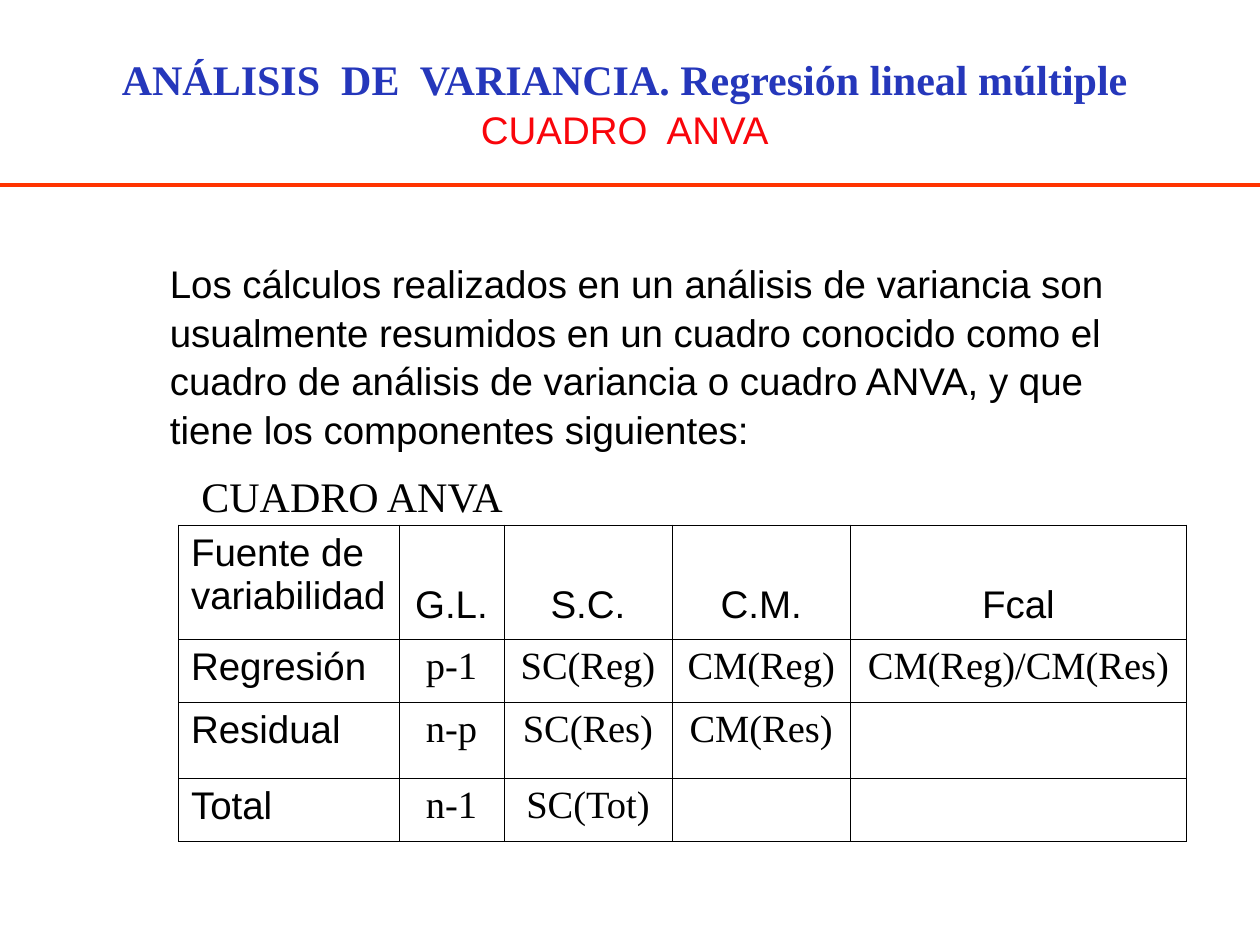
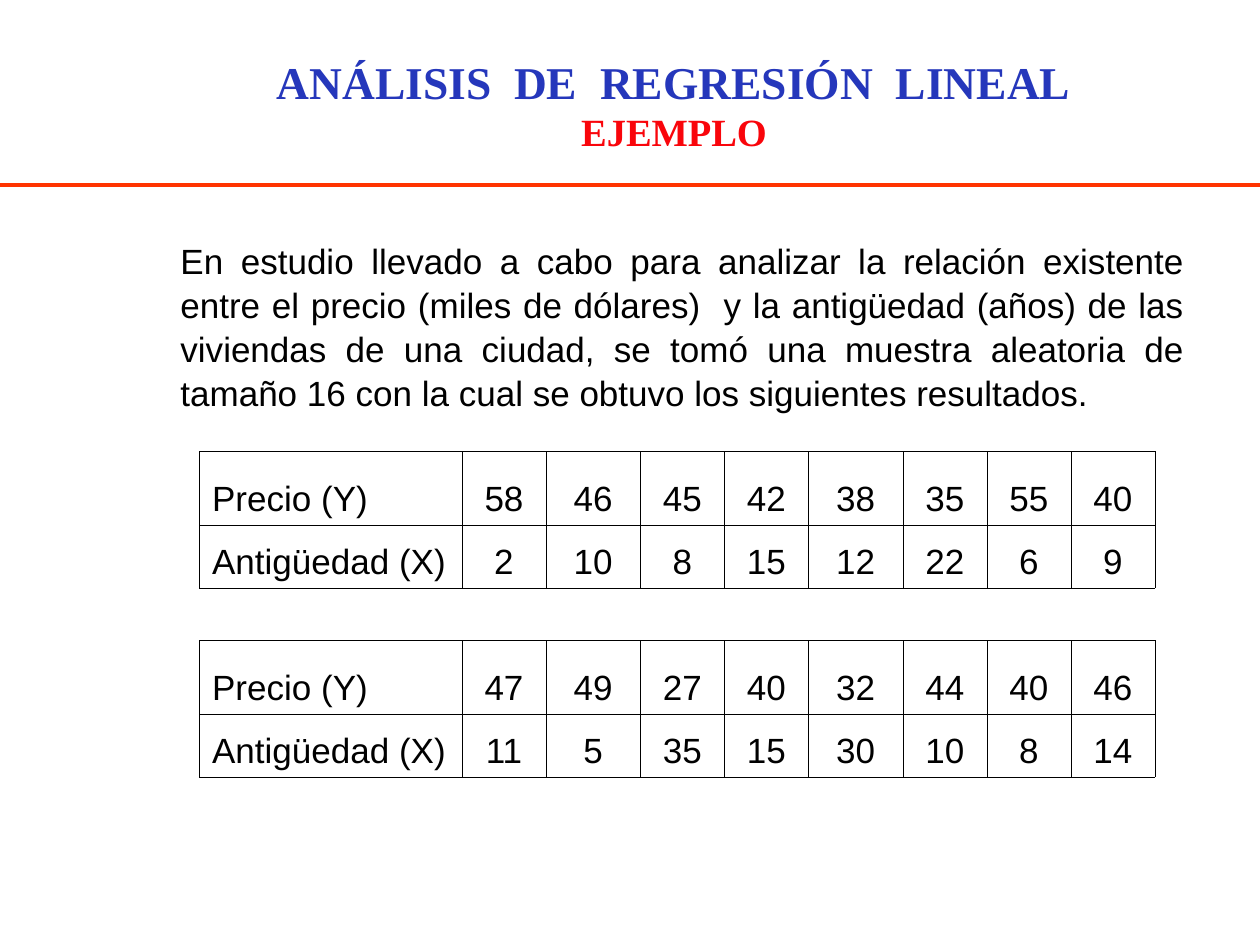
from dataclasses import dataclass

from lxml import etree
from pptx import Presentation
from pptx import util as u
from pptx.dml.color import RGBColor
from pptx.enum import shapes, text
from pptx.oxml import ns

# The grid: twelve columns and twelve rows to the inch
COLUMNS, ROWS = 120, 90
LEFT, CENTER, JUSTIFY = text.PP_ALIGN.LEFT, text.PP_ALIGN.CENTER, text.PP_ALIGN.JUSTIFY
TOP, MIDDLE, BOTTOM = text.MSO_ANCHOR.TOP, text.MSO_ANCHOR.MIDDLE, text.MSO_ANCHOR.BOTTOM


@dataclass(frozen=True)
class Theme:
    ink: str = "000000"
    title: str = "2537BB"
    subtitle: str = "F9050B"
    rule: str = "FF3300"
    sans: str = "Arial"
    serif: str = "Times New Roman"
    large: int = 24
    medium: int = 22
    small: int = 20
    rule_width: float = 2.25
    border_width: float = 0.45
    body_spacing: float = 1.05


class SlideBuilder:
    def __init__(self, deck, theme):
        self.deck, self.theme, self.page = deck, theme, None

    def x(self, columns):
        return round(self.deck.slide_width * columns / COLUMNS)

    def y(self, rows):
        return round(self.deck.slide_height * rows / ROWS)

    def area(self, left, top, width, height):
        return self.x(left), self.y(top), self.x(width), self.y(height)

    def style(self, font, name, size, color=None, bold=False):
        font.name, font.size, font.bold = name, u.Pt(size), bold
        font.color.rgb = RGBColor.from_string(color or self.theme.ink)

    def new_page(self):
        self.page = self.deck.slides.add_slide(self.deck.slide_layouts[6])
        self.rule(17.6)

    def rule(self, row):
        line = self.page.shapes.add_connector(
            shapes.MSO_CONNECTOR.STRAIGHT, self.x(COLUMNS), self.y(row), 0, self.y(row))
        line.line.color.rgb = RGBColor.from_string(self.theme.rule)
        line.line.width = u.Pt(self.theme.rule_width)
        etree.SubElement(line._element.spPr, ns.qn("a:effectLst"))

    def text_box(self, area, anchor=TOP):
        frame = self.page.shapes.add_textbox(*self.area(*area)).text_frame
        frame.word_wrap = True
        frame.vertical_anchor = anchor
        return frame.paragraphs[0]

    def title(self, area, spans):
        """Each span is (words, font, size, colour, bold); None breaks the line."""
        para = self.text_box(area, MIDDLE)
        para.alignment = CENTER
        for item in spans:
            if item is None:
                para.add_line_break()
                continue
            words, *look = item
            span = para.add_run()
            span.text = words
            self.style(span.font, *look)

    def body(self, area, words, name, size, align=LEFT):
        para = self.text_box(area)
        para.text, para.alignment = words, align
        para.line_spacing = self.theme.body_spacing
        self.style(para.font, name, size)

    def table(self, left, top, widths, heights, rows, size, look):
        """look(row, column) gives the font, the anchor and the bottom margin."""
        area = self.area(left, top, sum(widths), sum(heights))
        table = self.page.shapes.add_table(len(heights), len(widths), *area).table
        table.first_row = table.horz_banding = False
        for column, width in zip(table.columns, widths):
            column.width = self.x(width)
        for row, height in zip(table.rows, heights):
            row.height = self.y(height)
        for r, values in enumerate(rows):
            for c, value in enumerate(values):
                name, anchor, margin = look(r, c)
                cell = table.cell(r, c)
                cell.vertical_anchor = anchor
                cell.margin_bottom = u.Inches(margin)
                self.border(cell)
                cell.fill.background()
                para = cell.text_frame.paragraphs[0]
                para.text = value
                para.alignment = CENTER if c else LEFT
                self.style(para.font, name, size)

    def border(self, cell):
        properties = cell._tc.get_or_add_tcPr()
        for side in ("lnL", "lnR", "lnT", "lnB"):
            line = etree.SubElement(properties, ns.qn(f"a:{side}"),
                                    w=str(u.Pt(self.theme.border_width)))
            fill = etree.SubElement(line, ns.qn("a:solidFill"))
            etree.SubElement(fill, ns.qn("a:srgbClr"), val=self.theme.ink)


def anova_page(build):
    theme = build.theme
    build.new_page()
    build.title((8, 4.3, 103, 10), [
        ("ANÁLISIS  DE  VARIANCIA. Regresión lineal múltiple",
         theme.serif, theme.large, theme.title, True),
        (" ", theme.serif, 30, theme.title, True),
        ("CUADRO  ANVA", theme.sans, theme.medium, theme.subtitle)])
    build.body((15, 24, 97, 18.8),
               "Los cálculos realizados en un análisis de variancia son usualmente "
               "resumidos en un cuadro conocido como el cuadro de análisis de variancia "
               "o cuadro ANVA, y que tiene los componentes siguientes:",
               theme.sans, theme.medium)

    # Analysis of variance table; formulas are set in serif
    def look(row, column):
        if row == 0 and column:
            return theme.sans, BOTTOM, 0.1
        return theme.serif if row and column else theme.sans, TOP, 0.05

    build.table(17, 50, (21, 10, 16, 17, 32), (10.9, 6, 7.2, 6), [
        ("Fuente de variabilidad", "G.L.", "S.C.", "C.M.", "Fcal"),
        ("Regresión", "p-1", "SC(Reg)", "CM(Reg)", "CM(Reg)/CM(Res)"),
        ("Residual", "n-p", "SC(Res)", "CM(Res)", ""),
        ("Total", "n-1", "SC(Tot)", "", "")], theme.medium, look)
    build.body((18, 44, 52, 6), "CUADRO ANVA", theme.serif, theme.large)


def example_page(build):
    theme = build.theme
    build.new_page()
    build.title((13.7, 3.4, 101, 13), [
        ("ANÁLISIS  DE  REGRESIÓN  LINEAL", theme.serif, 26, theme.title, True),
        None,
        ("EJEMPLO", theme.serif, theme.medium, theme.subtitle, True)])
    build.body((16, 22, 98, 17.3),
               "En estudio llevado a cabo para analizar la relación existente entre el "
               "precio (miles de dólares)  y la antigüedad (años) de las viviendas de una "
               "ciudad, se tomó una muestra aleatoria de tamaño 16 con la cual se obtuvo "
               "los siguientes resultados.", theme.sans, theme.small, JUSTIFY)

    # The sample of sixteen homes, eight to a table
    prices = (58, 46, 45, 42, 38, 35, 55, 40, 47, 49, 27, 40, 32, 44, 40, 46)
    ages = (2, 10, 8, 15, 12, 22, 6, 9, 11, 5, 35, 15, 30, 10, 8, 14)
    for half in range(2):
        part = slice(8 * half, 8 * half + 8)
        rows = [("Precio (Y)", *map(str, prices[part])),
                ("Antigüedad (X)", *map(str, ages[part]))]
        build.table(19, 43 + 18 * half, (25, 8, 9, 8, 8, 9, 8, 8, 8), (7, 6), rows,
                    theme.small, lambda row, column: (theme.sans, BOTTOM, 0.05))


def main():
    deck = Presentation()
    deck.slide_width, deck.slide_height = u.Inches(10), u.Inches(7.5)
    build = SlideBuilder(deck, Theme())
    anova_page(build)
    example_page(build)
    deck.save("out.pptx")


if __name__ == "__main__":
    main()
